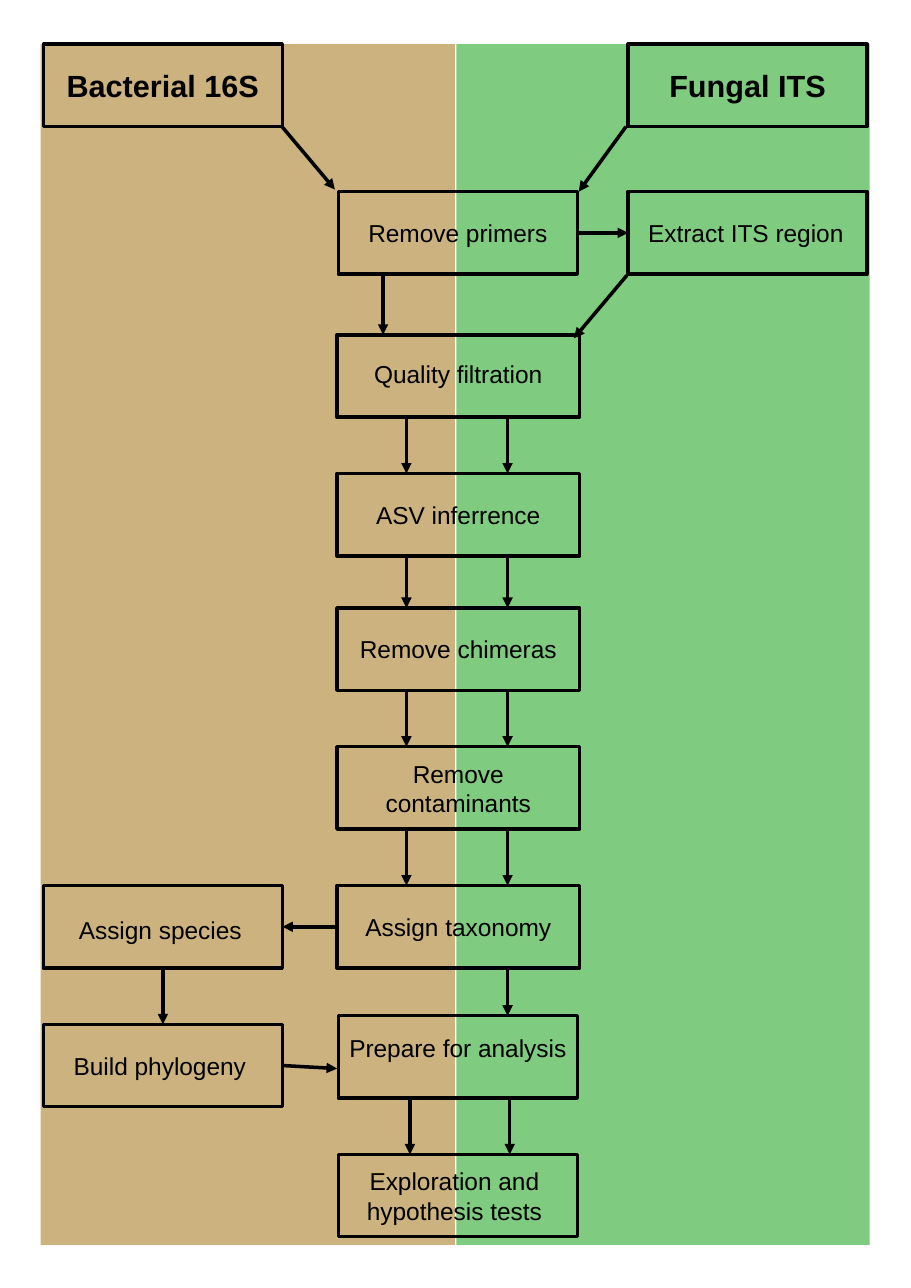
from lxml.etree import SubElement
from pptx import Presentation
from pptx.dml.color import RGBColor
from pptx.enum.shapes import MSO_CONNECTOR, MSO_SHAPE
from pptx.enum.text import MSO_ANCHOR, PP_ALIGN
from pptx.oxml.ns import qn
from pptx.util import Cm, Pt

# All lengths are in centimetres.
BLACK = "000000"
LINE_WIDTH = 2.3
BOX_HEIGHT = 1.9
PADDING = 0.1

BANDS_TOP, BANDS_HEIGHT = 1.02, 27.69
BANDS = [(10.52, 9.53, "009900"), (0.94, 9.55, "996600")]  # left, width, colour

# Column: left, width
COLUMNS = {
    "bacterial": (1.0, 5.51),
    "shared": (7.77, 5.59),
    "shared narrow": (7.8, 5.51),
    "fungal": (14.48, 5.51),
}

# Step: column, top, text format
STEPS = {
    "Bacterial 16S": ("bacterial", 1.02, {"size": 20, "bold": True}),
    "Fungal ITS": ("fungal", 1.02, {"size": 20, "bold": True}),
    "Remove primers": ("shared narrow", 4.42, {}),
    "Extract ITS region": ("fungal", 4.42, {"shift_x": -0.04}),
    "Quality filtration": ("shared", 7.72, {"shift_y": -0.05}),
    "ASV inferrence": ("shared", 10.92, {}),
    "Remove chimeras": ("shared", 14.02, {}),
    "Remove contaminants": ("shared", 17.22, {}),
    "Assign taxonomy": ("shared", 20.42, {}),
    "Assign species": ("bacterial", 20.42, {"shift_x": -0.06, "shift_y": 0.08}),
    "Prepare for analysis": ("shared narrow", 23.42, {"shift_y": -0.22}),
    "Build phylogeny": ("bacterial", 23.62, {"shift_x": -0.07}),
    "Exploration and hypothesis tests": ("shared narrow", 26.62, {"shift_x": -0.08}),
}

# Downward flow: upper step, lower step, horizontal place of each arrow
BOTH_LANES = (9.37, 11.7)
FLOWS = [
    ("Remove primers", "Quality filtration", (8.83,)),
    ("Quality filtration", "ASV inferrence", BOTH_LANES),
    ("ASV inferrence", "Remove chimeras", BOTH_LANES),
    ("Remove chimeras", "Remove contaminants", BOTH_LANES),
    ("Remove contaminants", "Assign taxonomy", BOTH_LANES),
    ("Assign taxonomy", "Prepare for analysis", (11.7,)),
    ("Prepare for analysis", "Exploration and hypothesis tests", (9.45, 11.75)),
]

# Joined sides: 0 top, 1 left, 2 bottom, 3 right
JOINS = [
    ("Remove primers", 3, "Extract ITS region", 1),
    ("Assign taxonomy", 1, "Assign species", 3),
    ("Assign species", 2, "Build phylogeny", 0),
]

DIAGONALS = [
    ((6.5, 2.92), (7.72, 4.37)),
    ((14.43, 2.92), (13.34, 4.42)),
    ((14.45, 6.35), (13.23, 7.8)),
]
PHYLOGENY_ARROW = ((6.51, 24.57), (7.77, 24.64))


def color(hex_string):
    return RGBColor.from_string(hex_string)


def add_rectangle(slide, left, top, width, height):
    rectangle = slide.shapes.add_shape(
        MSO_SHAPE.RECTANGLE, Cm(left), Cm(top), Cm(width), Cm(height))
    rectangle.shadow.inherit = False
    return rectangle


def add_band(slide, left, width, fill):
    band = add_rectangle(slide, left, BANDS_TOP, width, BANDS_HEIGHT)
    band.fill.solid()
    band.fill.fore_color.rgb = color(fill)
    band.line.fill.background()
    fill_color = band.fill._xPr.find(qn("a:solidFill"))[0]
    SubElement(fill_color, qn("a:alpha"), val="50000")


def write(shape, text, size=16, bold=False, shift_x=0, shift_y=0):
    """Centre the text in the shape, moved by the given shift."""
    frame = shape.text_frame
    frame.word_wrap = True
    frame.vertical_anchor = MSO_ANCHOR.MIDDLE
    frame.margin_left = Cm(PADDING + max(2 * shift_x, 0))
    frame.margin_right = Cm(PADDING + max(-2 * shift_x, 0))
    frame.margin_top = Cm(PADDING + max(2 * shift_y, 0))
    frame.margin_bottom = Cm(PADDING + max(-2 * shift_y, 0))
    paragraph = frame.paragraphs[0]
    paragraph.text = text
    paragraph.alignment = PP_ALIGN.CENTER
    paragraph.font.name = "Arial"
    paragraph.font.size = Pt(size)
    paragraph.font.bold = bold
    paragraph.font.color.rgb = color(BLACK)


def add_step(slide, text, column, top, text_format):
    left, width = COLUMNS[column]
    step = add_rectangle(slide, left, top, width, BOX_HEIGHT)
    step.fill.background()
    step.line.color.rgb = color(BLACK)
    step.line.width = Pt(LINE_WIDTH)
    write(step, text, **text_format)
    return step


def add_arrow(slide, start=(0, 0), end=(0, 0)):
    points = [Cm(value) for value in (*start, *end)]
    arrow = slide.shapes.add_connector(MSO_CONNECTOR.STRAIGHT, *points)
    arrow.line.color.rgb = color(BLACK)
    arrow.line.width = Pt(LINE_WIDTH)
    SubElement(arrow.line._get_or_add_ln(), qn("a:tailEnd"), type="triangle")
    SubElement(arrow._element.spPr, qn("a:effectLst"))
    return arrow


def main():
    presentation = Presentation()
    presentation.slide_width, presentation.slide_height = Cm(21), Cm(29.7)
    slide = presentation.slides.add_slide(presentation.slide_layouts[6])

    for band in BANDS:
        add_band(slide, *band)

    steps = {text: add_step(slide, text, *place) for text, place in STEPS.items()}

    for upper, lower, lanes in FLOWS:
        bottom = STEPS[upper][1] + BOX_HEIGHT
        for x in lanes:
            add_arrow(slide, (x, bottom), (x, STEPS[lower][1]))

    for source, source_side, target, target_side in JOINS:
        arrow = add_arrow(slide)
        arrow.begin_connect(steps[source], source_side)
        arrow.end_connect(steps[target], target_side)

    for start, end in DIAGONALS:
        add_arrow(slide, start, end)

    phylogeny_arrow = add_arrow(slide, *PHYLOGENY_ARROW)
    phylogeny_arrow.begin_connect(steps["Build phylogeny"], 3)

    presentation.save("out.pptx")


if __name__ == "__main__":
    main()
